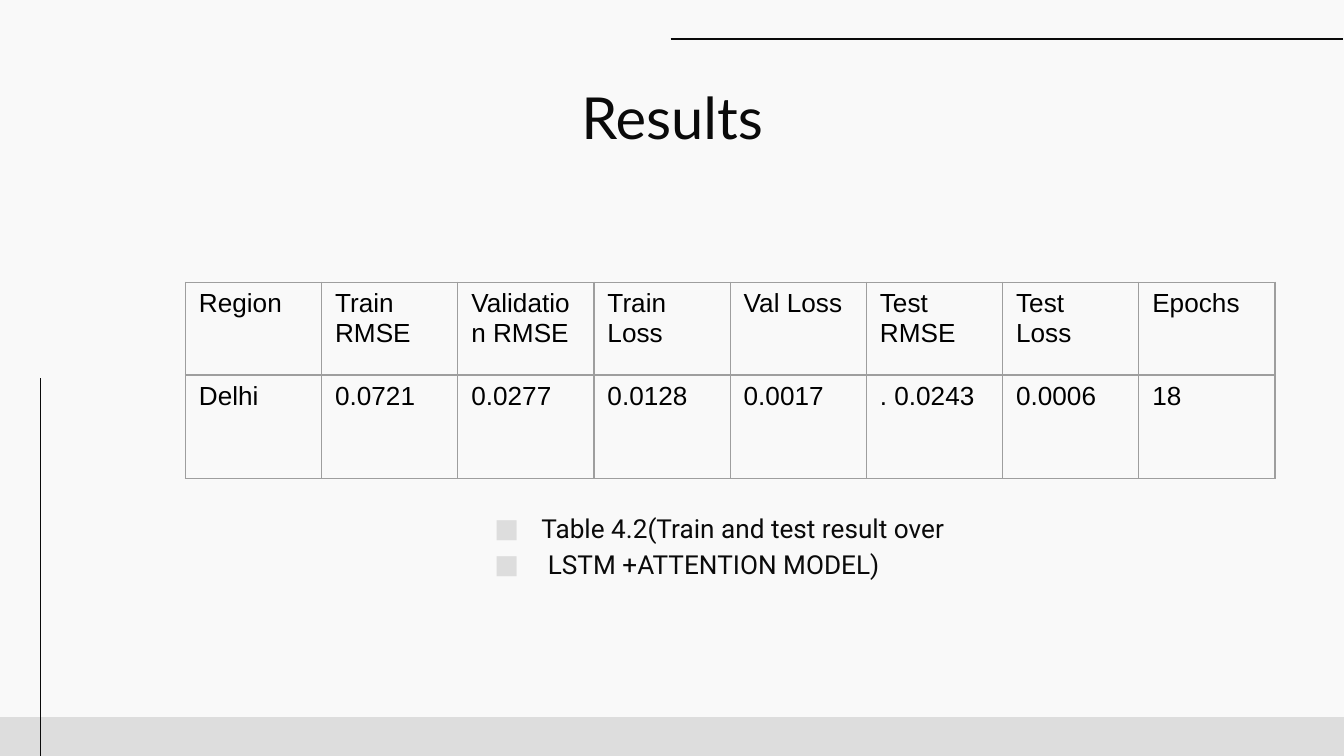
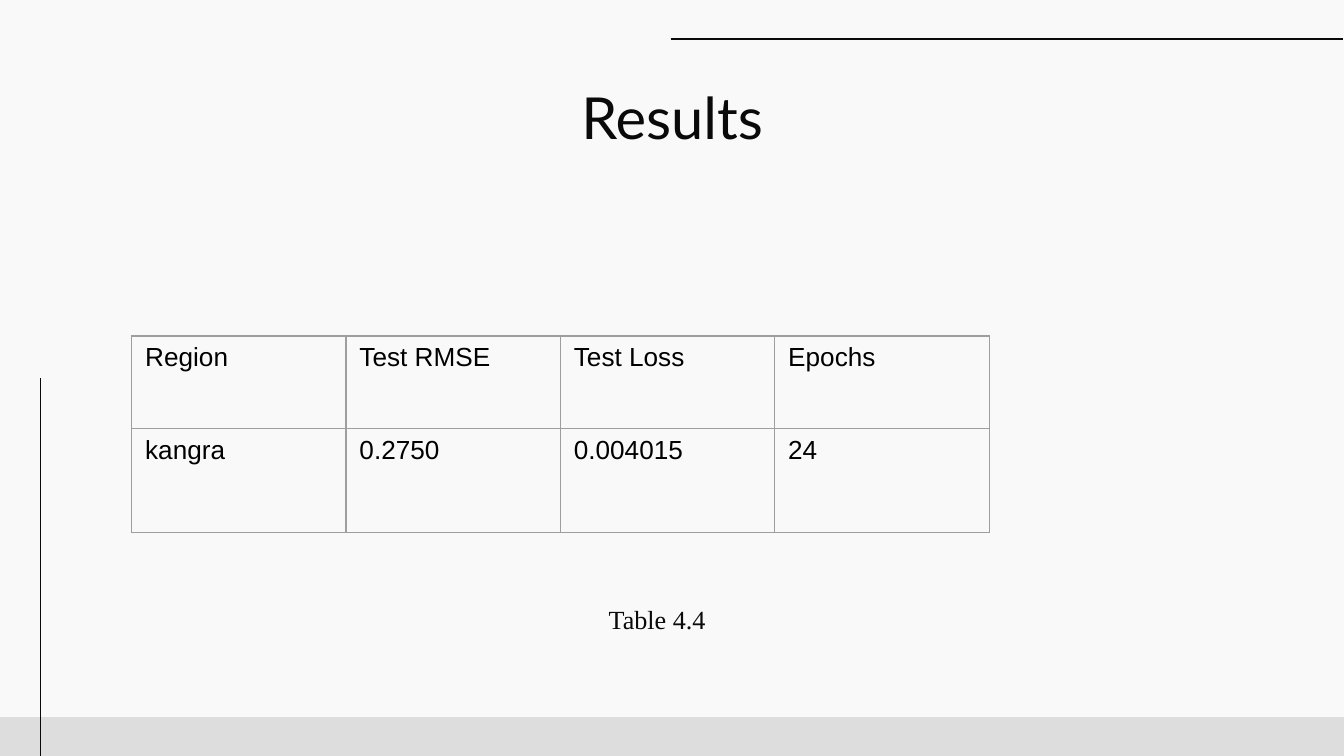
from dataclasses import dataclass

import lxml.etree
import pptx
import pptx.dml.color
import pptx.enum.shapes
import pptx.enum.text
import pptx.oxml.ns
import pptx.util

Inches = pptx.util.Inches
Pt = pptx.util.Pt
qn = pptx.oxml.ns.qn

SLIDE_WIDTH = Inches(10)
SLIDE_HEIGHT = SLIDE_WIDTH * 9 // 16
COLORS = {
    "background": "F9F9F9",
    "band": "DDDDDD",
    "ink": "0A0A0A",
    "cell_text": "000000",
    "border": "9E9E9E",
}
ALIGN = pptx.enum.text.PP_ALIGN
TITLE_FONT = {"name": "Lato", "size": Pt(31), "bold": False}
CELL_FONT = {"name": "Arial", "size": Pt(14), "bold": False}
FRAME_FORMAT = {
    "word_wrap": True,
    "auto_size": pptx.enum.text.MSO_AUTO_SIZE.NONE,
    "vertical_anchor": pptx.enum.text.MSO_ANCHOR.TOP,
    "margin_left": Inches(0.1),
    "margin_right": Inches(0.1),
    "margin_top": Inches(0.1),
    "margin_bottom": Inches(0.1),
}
PLAIN_TABLE = {"first_row": False, "horz_banding": False}
ROW_HEIGHTS = (0.69, 0.77)


@dataclass(frozen=True)
class Box:
    left: float
    top: float
    width: float
    height: float

    def lengths(self) -> tuple:
        return tuple(Inches(n) for n in (self.left, self.top, self.width, self.height))


@dataclass(frozen=True)
class Rule:
    start: tuple[int, int]
    end: tuple[int, int]


@dataclass(frozen=True)
class ResultTable:
    left: float
    top: float
    width: float
    rows: tuple[tuple[str, ...], ...]


@dataclass(frozen=True)
class Caption:
    box: Box
    lines: tuple[str, ...]
    font_name: str
    bulleted: bool


@dataclass(frozen=True)
class ResultSlide:
    table: ResultTable
    caption: Caption


TITLE_BOX = Box(0.78, 0.51, 8.44, 0.6)
BAND_HEIGHT = Inches(0.29)
RULES = (
    Rule((Inches(0.3), SLIDE_HEIGHT), (Inches(0.3), SLIDE_HEIGHT // 2)),
    Rule((Inches(4.99), Inches(0.29)), (Inches(9.99), Inches(0.29))),
)

RESULT_SLIDES = (
    ResultSlide(
        ResultTable(1.38, 2.1, 8.11, (
            ("Region", "Train RMSE", "Validation RMSE", "Train Loss",
             "Val Loss", "Test RMSE", "Test Loss", "Epochs"),
            ("Delhi", "0.0721", "0.0277", "0.0128",
             "0.0017", ". 0.0243", "0.0006", "18"),
        )),
        Caption(Box(3.43, 3.68, 4.73, 0.63),
                ("Table 4.2(Train and test result over", " LSTM +ATTENTION MODEL)"),
                "Roboto", True),
    ),
    ResultSlide(
        ResultTable(0.98, 2.5, 6.38, (
            ("Region", "Test RMSE", "Test Loss", "Epochs"),
            ("kangra", "0.2750", "0.004015", "24"),
        )),
        Caption(Box(0.67, 4.39, 8.44, 0.6), ("Table 4.4",), "Times New Roman", False),
    ),
)


def color(name: str) -> pptx.dml.color.RGBColor:
    return pptx.dml.color.RGBColor.from_string(COLORS[name])


def apply_format(target, values: dict) -> None:
    for name, value in values.items():
        setattr(target, name, value)


def write_paragraph(paragraph, text: str, font: dict, color_name: str) -> None:
    run = paragraph.add_run()
    run.text = text
    apply_format(run.font, font)
    run.font.color.rgb = color(color_name)


def add_bullet(paragraph, font_name: str) -> None:
    properties = paragraph._p.get_or_add_pPr()
    properties.set("marL", str(Inches(0.5)))
    properties.set("indent", str(Inches(-0.35)))
    bullet_color = lxml.etree.SubElement(properties, qn("a:buClr"))
    lxml.etree.SubElement(bullet_color, qn("a:srgbClr"), val=COLORS["band"])
    lxml.etree.SubElement(properties, qn("a:buFont"), typeface=font_name)
    lxml.etree.SubElement(properties, qn("a:buChar"), char="■")


def draw_frame(slide) -> None:
    band = slide.shapes.add_shape(
        pptx.enum.shapes.MSO_SHAPE.RECTANGLE,
        0, SLIDE_HEIGHT - BAND_HEIGHT, SLIDE_WIDTH, BAND_HEIGHT)
    band.shadow.inherit = False
    band.fill.solid()
    band.fill.fore_color.rgb = color("band")
    band.line.fill.background()
    for rule in RULES:
        connector = slide.shapes.add_connector(
            pptx.enum.shapes.MSO_CONNECTOR.STRAIGHT, *rule.start, *rule.end)
        connector.line.color.rgb = color("ink")
        connector.line.width = Pt(0.75)
        lxml.etree.SubElement(connector._element.spPr, qn("a:effectLst"))


def draw_title(slide, text: str) -> None:
    title = slide.shapes.title
    places = zip(("left", "top", "width", "height"), TITLE_BOX.lengths())
    apply_format(title, dict(places))
    apply_format(title.text_frame, FRAME_FORMAT)
    paragraph = title.text_frame.paragraphs[0]
    paragraph.alignment = ALIGN.CENTER
    write_paragraph(paragraph, text, TITLE_FONT, "ink")


def style_cell(cell) -> None:
    cell.fill.background()
    properties = cell._tc.get_or_add_tcPr()
    for position, side in enumerate(("a:lnL", "a:lnR", "a:lnT", "a:lnB")):
        border = lxml.etree.Element(qn(side), w=str(Pt(0.75)))
        fill = lxml.etree.SubElement(border, qn("a:solidFill"))
        lxml.etree.SubElement(fill, qn("a:srgbClr"), val=COLORS["border"])
        properties.insert(position, border)


def draw_table(slide, result: ResultTable) -> None:
    box = Box(result.left, result.top, result.width, sum(ROW_HEIGHTS))
    table = slide.shapes.add_table(
        len(result.rows), len(result.rows[0]), *box.lengths()).table
    apply_format(table, PLAIN_TABLE)
    for row, height, texts in zip(table.rows, ROW_HEIGHTS, result.rows):
        row.height = Inches(height)
        for cell, text in zip(row.cells, texts):
            style_cell(cell)
            write_paragraph(cell.text_frame.paragraphs[0], text, CELL_FONT, "cell_text")


def draw_caption(slide, caption: Caption) -> None:
    frame = slide.shapes.add_textbox(*caption.box.lengths()).text_frame
    apply_format(frame, FRAME_FORMAT)
    font = {"name": caption.font_name, "size": Pt(14)}
    for index, line in enumerate(caption.lines):
        paragraph = frame.add_paragraph() if index else frame.paragraphs[0]
        if caption.bulleted:
            paragraph.line_spacing = 1.15
            add_bullet(paragraph, caption.font_name)
        else:
            paragraph.alignment = ALIGN.CENTER
        write_paragraph(paragraph, line, font, "ink")


def main() -> None:
    presentation = pptx.Presentation()
    presentation.slide_width = SLIDE_WIDTH
    presentation.slide_height = SLIDE_HEIGHT
    background = presentation.slide_master.background.fill
    background.solid()
    background.fore_color.rgb = color("background")
    title_only = presentation.slide_layouts.get_by_name("Title Only")
    for result_slide in RESULT_SLIDES:
        slide = presentation.slides.add_slide(title_only)
        draw_frame(slide)
        draw_title(slide, "Results")
        draw_table(slide, result_slide.table)
        draw_caption(slide, result_slide.caption)
    presentation.save("out.pptx")


if __name__ == "__main__":
    main()
